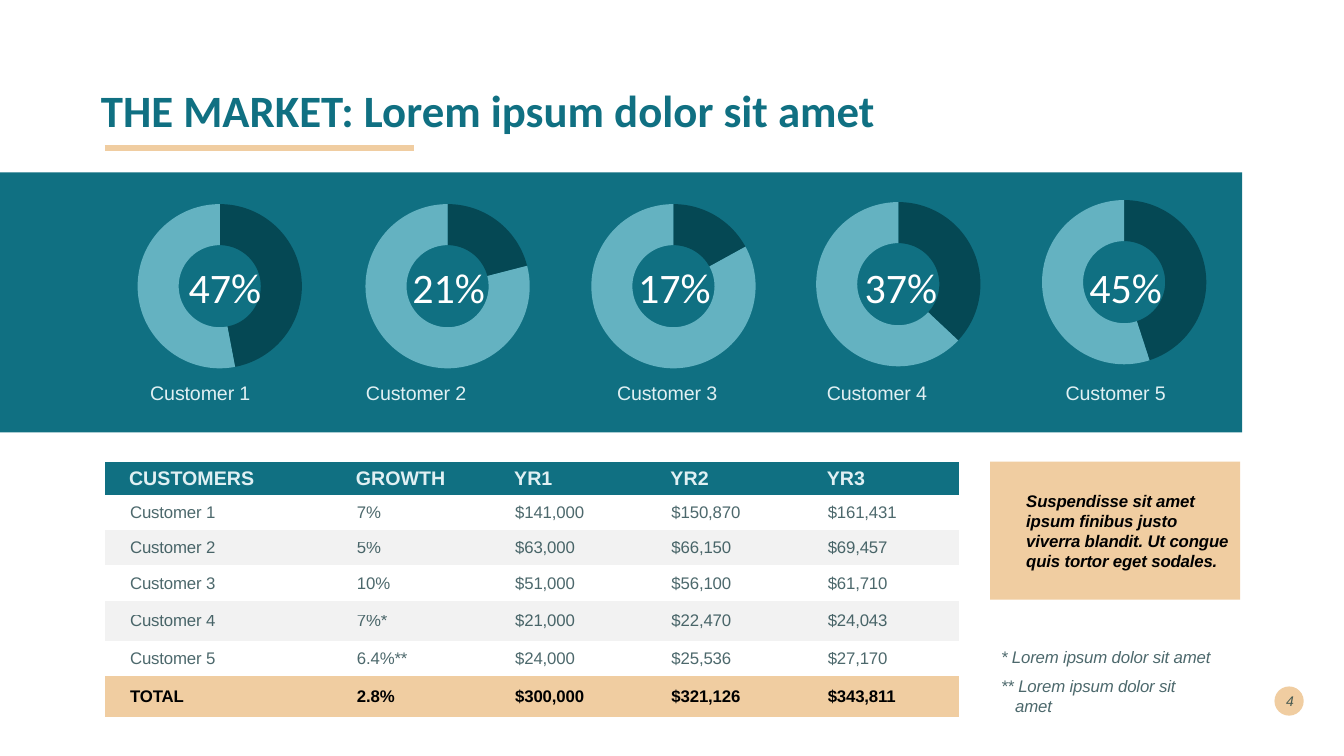
from dataclasses import dataclass

from lxml import etree
from pptx import Presentation
from pptx.chart import data
from pptx.dml import color
from pptx.enum import chart as charts, shapes, text
from pptx.oxml import ns
from pptx import util as u

CELL = 0.1


@dataclass(frozen=True)
class Theme:
    """Colours, fonts and type sizes of the slide."""
    teal: str = "107082"
    dark: str = "054854"
    light: str = "64B2C1"
    pale: str = "E0F0F3"
    sand: str = "F0CDA1"
    grey: str = "F2F2F2"
    white: str = "FFFFFF"
    black: str = "000000"
    ink: str = "00292E"
    ink_opacity: int = 70
    body_font: str = "Arial"
    head_font: str = "Calibri"
    title: int = 32
    percent: int = 30
    label: int = 14
    body: int = 12
    small: int = 10


THEME = Theme()


@dataclass(frozen=True)
class Box:
    """A rectangle measured in columns and rows of the slide grid."""
    left: float
    top: float
    width: float
    height: float

    def inner(self, left, top, width, height):
        """Return a box placed relative to this one."""
        return Box(self.left + left, self.top + top, width, height)

    def place(self):
        """Return left, top, width and height as lengths."""
        return [u.Inches(cells * CELL)
                for cells in (self.left, self.top, self.width, self.height)]


def apply(target, values):
    """Set every attribute named in a dict of format values."""
    for name, value in values.items():
        setattr(target, name, value)


def rgb(value):
    """Return a colour from its hex value."""
    return color.RGBColor.from_string(value)


def paint(fill, value):
    """Fill with one solid colour."""
    fill.solid()
    fill.fore_color.rgb = rgb(value)


def write(frame, words, colour, size, indent=0, hanging=0, right=0, before=0,
          align=text.PP_ALIGN.LEFT, font=THEME.body_font, spacing=0, **style):
    """Write one formatted paragraph into a text frame."""
    paragraph = frame.paragraphs[0]
    apply(paragraph, {"alignment": align, "space_before": u.Pt(before)})
    properties = paragraph._p.get_or_add_pPr()
    for name, cells in {"marL": indent, "marR": right, "indent": hanging}.items():
        properties.set(name, str(u.Inches(cells * CELL)))
    run = paragraph.add_run()
    run.text = words
    apply(run.font, {"name": font, "size": u.Pt(size), **style})
    run.font.color.rgb = rgb(colour)
    run_properties = run._r.get_or_add_rPr()
    run_properties.set("spc", str(spacing))
    if colour == THEME.ink:
        value = run_properties.find(".//" + ns.qn("a:srgbClr"))
        etree.SubElement(value, ns.qn("a:alpha"), val=str(THEME.ink_opacity * 1000))
    return paragraph


def add_block(slide, box, fill, kind=shapes.MSO_SHAPE.RECTANGLE):
    """Add a plain filled shape."""
    shape = slide.shapes.add_shape(kind, *box.place())
    shape.shadow.inherit = False
    paint(shape.fill, fill)
    shape.line.fill.background()
    return shape


def add_text(slide, box, words, colour, size, middle=False, **style):
    """Add a wrapping text box, either middle-anchored or tight at the top."""
    frame = slide.shapes.add_textbox(*box.place()).text_frame
    frame.word_wrap = True
    if middle:
        frame.vertical_anchor = text.MSO_ANCHOR.MIDDLE
    else:
        apply(frame, {"margin_left": 0, "margin_right": 0,
                      "margin_top": u.Inches(0.01), "margin_bottom": 0})
    write(frame, words, colour, size, **style)


def add_heading(slide, box):
    """Place the title and the rule under it."""
    title = slide.shapes.title
    apply(title, dict(zip(("left", "top", "width", "height"), box.place())))
    apply(title.text_frame, {"vertical_anchor": text.MSO_ANCHOR.MIDDLE, "word_wrap": True})
    paragraph = write(title.text_frame, "THE MARKET: Lorem ipsum dolor sit amet",
                      THEME.teal, THEME.title, font=THEME.head_font, bold=True)
    paragraph.line_spacing = 0.9
    left, top, width, _ = box.inner(1.4, 10.7, 30.7, 0).place()
    rule = slide.shapes.add_connector(shapes.MSO_CONNECTOR.STRAIGHT,
                                      left, top, left + width, top)
    rule.line.color.rgb = rgb(THEME.sand)
    rule.line.width = u.Pt(4.32)
    etree.SubElement(rule._element.spPr, ns.qn("a:effectLst"))


def add_doughnut(slide, box, share):
    """Add a two-part ring chart showing a share of one hundred."""
    values = data.CategoryChartData()
    values.categories = ["1", "2"]
    values.add_series("Series 1", (share, 100 - share))
    chart = slide.shapes.add_chart(charts.XL_CHART_TYPE.DOUGHNUT, *box.place(), values).chart
    apply(chart, {"has_legend": False, "has_title": False})
    apply(chart.font, {"name": THEME.body_font, "size": u.Pt(THEME.small)})
    chart.font.color.rgb = rgb(THEME.black)
    plot = chart.plots[0]
    plot.vary_by_categories = False
    for index, colour in enumerate((THEME.dark, THEME.light)):
        point = plot.series[0].points[index].format
        paint(point.fill, colour)
        point.line.fill.background()
    space = chart._chartSpace
    space.find(".//" + ns.qn("c:holeSize")).set("val", "67")
    background = etree.Element(ns.qn("c:spPr"))
    for name in ("a:noFill", "a:ln"):
        etree.SubElement(background, ns.qn(name))
    etree.SubElement(background[1], ns.qn("a:noFill"))
    space.find(ns.qn("c:chart")).addnext(background)
    area = space.find(".//" + ns.qn("c:plotArea"))
    for layout in area.findall(ns.qn("c:layout")):
        area.remove(layout)
    layout = etree.Element(ns.qn("c:layout"))
    manual = etree.SubElement(layout, ns.qn("c:manualLayout"))
    wide, high = 16.3 / box.width, 16.3 / box.height
    settings = {"layoutTarget": "inner", "xMode": "edge", "yMode": "edge",
                "x": (1 - wide) / 2, "y": (1 - high) / 2, "w": wide, "h": high}
    for name, value in settings.items():
        etree.SubElement(manual, ns.qn("c:" + name), val=str(value))
    area.insert(0, layout)


def add_customer_band(slide, box):
    """Place the band with one ring, percentage and name per customer."""
    add_block(slide, box, THEME.teal)
    customers = [(47, 11, 1.8, 21.6, 14.8, 14.9), (21, 32.3, 1.8, 24.2, 36.2, 16.5),
                 (17, 54.7, 1.8, 24.2, 61.1, 11.5), (37, 77, 1.6, 24.2, 81.9, 14.8),
                 (45, 99.4, 1.4, 24.2, 105.6, 12)]
    for number, (share, left, top, width, label, room) in enumerate(customers, 1):
        add_doughnut(slide, box.inner(left, top, width, 19), share)
        add_text(slide, box.inner(label, 8.7, room, 5.2), f"{share}%", THEME.white,
                 THEME.percent, align=text.PP_ALIGN.CENTER, font=THEME.head_font,
                 indent=0.1, before=1)
        add_text(slide, box.inner(label, 20.6, room, 2.5), f"Customer {number}",
                 THEME.pale, THEME.label, indent=0.1, before=1, spacing=-10)


def add_growth_table(slide, box):
    """Place the table of growth and yearly sales."""
    rows = [("CUSTOMERS", "GROWTH", "YR1", "YR2", "YR3"),
            ("Customer 1", "7%", "$141,000", "$150,870", "$161,431"),
            ("Customer 2", "5%", "$63,000", "$66,150", "$69,457"),
            ("Customer 3", "10%", "$51,000", "$56,100", "$61,710"),
            ("Customer 4", "7%*", "$21,000", "$22,470", "$24,043"),
            ("Customer 5", "6.4%**", "$24,000", "$25,536", "$27,170"),
            ("TOTAL", "2.8%", "$300,000", "$321,126", "$343,811")]
    head = {"colour": THEME.pale, "size": THEME.label, "indent": 2.4, "before": 7.8, "bold": True}
    body = {"colour": THEME.ink, "size": THEME.body, "indent": 2.5, "before": 3.7, "spacing": -10}
    total = {**body, "colour": THEME.black, "bold": True}
    fills = [THEME.teal] + [THEME.white, THEME.grey] * 2 + [THEME.white, THEME.sand]
    styles = [head] + [body] * 5 + [total]
    table = slide.shapes.add_table(len(rows), len(rows[0]), *box.place()).table
    apply(table, {"first_row": False, "horz_banding": False})
    table._tbl.tblPr.find(ns.qn("a:tableStyleId")).text = "{2D5ABB26-0587-4C30-8999-92F81FD0307C}"
    for column, width in zip(table.columns, (22.5, 15.7, 15.5, 15.5, 15.5)):
        column.width = u.Inches(width * CELL)
    for row, height in zip(table.rows, (3.3, 3.5, 3.5, 3.5, 4, 3.5, 4)):
        row.height = u.Inches(height * CELL)
    for row, words, fill, style in zip(table.rows, rows, fills, styles):
        for cell, value in zip(row.cells, words):
            apply(cell, {"margin_left": 0, "margin_right": 0, "margin_top": 0,
                         "margin_bottom": 0, "vertical_anchor": text.MSO_ANCHOR.MIDDLE})
            paint(cell.fill, fill)
            write(cell.text_frame, value, **style)


def add_side_notes(slide, box):
    """Place the callout and the two footnotes beside the table."""
    style = {"size": THEME.body, "italic": True, "spacing": -10}
    callout = add_block(slide, box.inner(0, 0, box.width, 13.7), THEME.sand).text_frame
    apply(callout, {"word_wrap": True, "vertical_anchor": text.MSO_ANCHOR.MIDDLE})
    write(callout, "Suspendisse sit amet ipsum finibus justo viverra blandit. "
          "Ut congue quis tortor eget sodales.", THEME.black,
          indent=2.6, before=10.6, bold=True, **style)
    notes = [("*", 17.3, {"indent": 0.1, "before": 5.1}),
             ("**", 21.2, {"indent": 1.5, "hanging": -1.4, "right": 2, "before": 4.9})]
    for mark, top, spacing in notes:
        add_text(slide, box.inner(0, top, box.width, 4.1), f"{mark} Lorem ipsum dolor sit amet",
                 THEME.ink, middle=True, **spacing, **style)


def add_page_number(slide, box):
    """Place the page number on its disc."""
    add_block(slide, box.inner(1, 0.6, 2.9, 2.9), THEME.sand, shapes.MSO_SHAPE.OVAL)
    add_text(slide, box, "4", THEME.ink, THEME.small, middle=True,
             align=text.PP_ALIGN.RIGHT, italic=True)


def main():
    """Build the market slide and save it."""
    presentation = Presentation()
    apply(presentation, {"slide_width": u.Inches(13.33), "slide_height": u.Inches(7.5)})
    slide = presentation.slides.add_slide(presentation.slide_layouts.get_by_name("Title Only"))
    add_customer_band(slide, Box(0, 17.1, 123.2, 25.8))
    add_heading(slide, Box(9, 4, 115, 14.5))
    add_growth_table(slide, Box(10.4, 45.8, 84.7, 25.2))
    add_side_notes(slide, Box(98.2, 45.8, 24.8, 25.3))
    add_page_number(slide, Box(125.4, 67.5, 3.9, 4))
    presentation.save("out.pptx")


if __name__ == "__main__":
    main()
